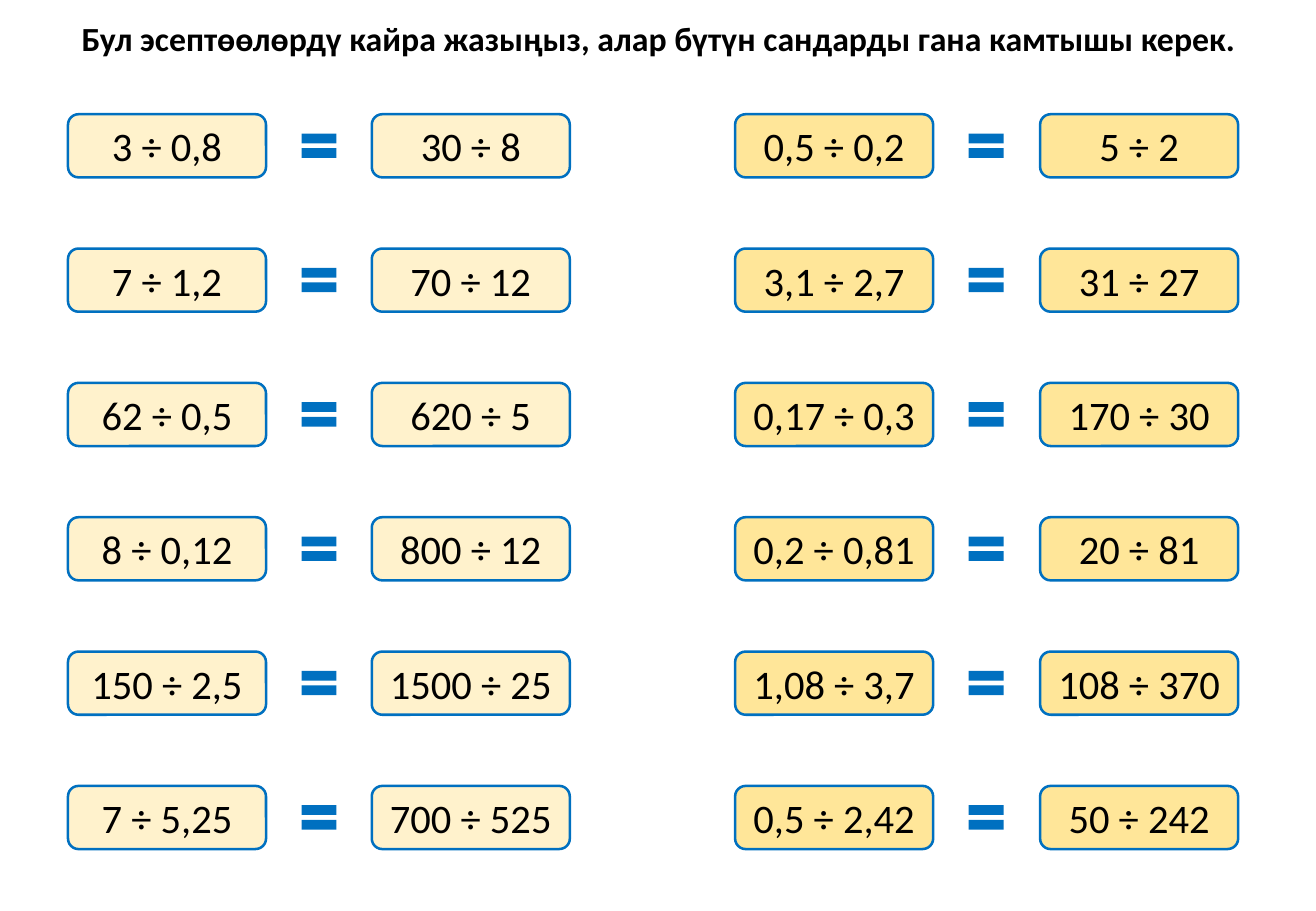
"""Build a worksheet slide that pairs decimal divisions with whole-number divisions."""
from dataclasses import dataclass

from pptx import Presentation
from pptx.dml.color import RGBColor
from pptx.enum.shapes import MSO_SHAPE as Preset
from pptx.enum.text import MSO_ANCHOR as Anchor, MSO_AUTO_SIZE as AutoSize, PP_ALIGN as Align
from pptx.shapes.autoshape import Shape
from pptx.slide import Slide
from pptx.util import Inches, Pt


@dataclass(frozen=True)
class Theme:
    font: str = "Calibri"
    title_size: float = 20
    division_size: float = 24
    outline_width: float = 1.5
    ink: RGBColor = RGBColor(0x00, 0x00, 0x00)
    accent: RGBColor = RGBColor(0x00, 0x70, 0xC0)
    pale: RGBColor = RGBColor(0xFF, 0xF2, 0xCC)
    golden: RGBColor = RGBColor(0xFF, 0xE6, 0x99)


@dataclass(frozen=True)
class Equation:
    decimal: str
    whole: str


@dataclass(frozen=True)
class Column:
    decimal_left: float
    equals_left: float
    whole_left: float
    fill: RGBColor
    equations: tuple[Equation, ...]


THEME = Theme()
TITLE = "Бул эсептөөлөрдү кайра жазыңыз, алар бүтүн сандарды гана камтышы керек."
FIRST_TOP, LAST_TOP = 0.94, 6.47
CARD_WIDTH, CARD_HEIGHT = 1.63, 0.52
EQUALS_WIDTH, EQUALS_HEIGHT = 0.39, 0.34

COLUMNS = (
    Column(0.56, 2.43, 3.06, THEME.pale, (
        Equation("3 ÷ 0,8", "30 ÷ 8"),
        Equation("7 ÷ 1,2", "70 ÷ 12"),
        Equation("62 ÷ 0,5", "620 ÷ 5"),
        Equation("8 ÷ 0,12", "800 ÷ 12"),
        Equation("150 ÷ 2,5", "1500 ÷ 25"),
        Equation("7 ÷ 5,25", "700 ÷ 525"),
    )),
    Column(6.05, 7.92, 8.56, THEME.golden, (
        Equation("0,5 ÷ 0,2", "5 ÷ 2"),
        Equation("3,1 ÷ 2,7", "31 ÷ 27"),
        Equation("0,17 ÷ 0,3", "170 ÷ 30"),
        Equation("0,2 ÷ 0,81", "20 ÷ 81"),
        Equation("1,08 ÷ 3,7", "108 ÷ 370"),
        Equation("0,5 ÷ 2,42", "50 ÷ 242"),
    )),
)


def write_centred(shape: Shape, text: str, size: float, bold: bool = False) -> None:
    """Write one centred paragraph in the theme font."""
    paragraph = shape.text_frame.paragraphs[0]
    paragraph.text = text
    paragraph.alignment = Align.CENTER
    paragraph.font.name = THEME.font
    paragraph.font.size = Pt(size)
    paragraph.font.bold = bold
    paragraph.font.color.rgb = THEME.ink


def add_title(slide: Slide) -> None:
    """Add the instruction above the equations."""
    title = slide.shapes.add_textbox(Inches(0.53), Inches(0.1), Inches(9.78), Inches(0.44))
    title.text_frame.word_wrap = False
    title.text_frame.auto_size = AutoSize.SHAPE_TO_FIT_TEXT
    write_centred(title, TITLE, THEME.title_size, bold=True)


def add_card(slide: Slide, left: float, top: float, fill: RGBColor, division: str) -> None:
    """Add a rounded card holding one division."""
    card = slide.shapes.add_shape(Preset.ROUNDED_RECTANGLE, Inches(left), Inches(top),
                                  Inches(CARD_WIDTH), Inches(CARD_HEIGHT))
    card.shadow.inherit = False
    card.fill.solid()
    card.fill.fore_color.rgb = fill
    card.line.color.rgb = THEME.accent
    card.line.width = Pt(THEME.outline_width)
    card.text_frame.word_wrap = True
    card.text_frame.vertical_anchor = Anchor.MIDDLE
    write_centred(card, division, THEME.division_size)


def add_equals(slide: Slide, left: float, card_top: float) -> None:
    """Add an equals sign centred vertically on its cards."""
    top = card_top + (CARD_HEIGHT - EQUALS_HEIGHT) / 2
    equals = slide.shapes.add_shape(Preset.MATH_EQUAL, Inches(left), Inches(top),
                                    Inches(EQUALS_WIDTH), Inches(EQUALS_HEIGHT))
    equals.shadow.inherit = False
    equals.fill.solid()
    equals.fill.fore_color.rgb = THEME.accent
    equals.line.fill.background()


def add_column(slide: Slide, column: Column) -> None:
    """Add a column of evenly spaced equations."""
    pitch = (LAST_TOP - FIRST_TOP) / (len(column.equations) - 1)
    for row, equation in enumerate(column.equations):
        top = FIRST_TOP + row * pitch
        add_card(slide, column.decimal_left, top, column.fill, equation.decimal)
        add_equals(slide, column.equals_left, top)
        add_card(slide, column.whole_left, top, column.fill, equation.whole)


def main() -> None:
    """Build and save the worksheet."""
    presentation = Presentation()
    presentation.slide_width = Inches(10.83)
    presentation.slide_height = Inches(7.5)
    slide = presentation.slides.add_slide(presentation.slide_layouts[6])
    add_title(slide)
    for column in COLUMNS:
        add_column(slide, column)
    presentation.save("out.pptx")


if __name__ == "__main__":
    main()
